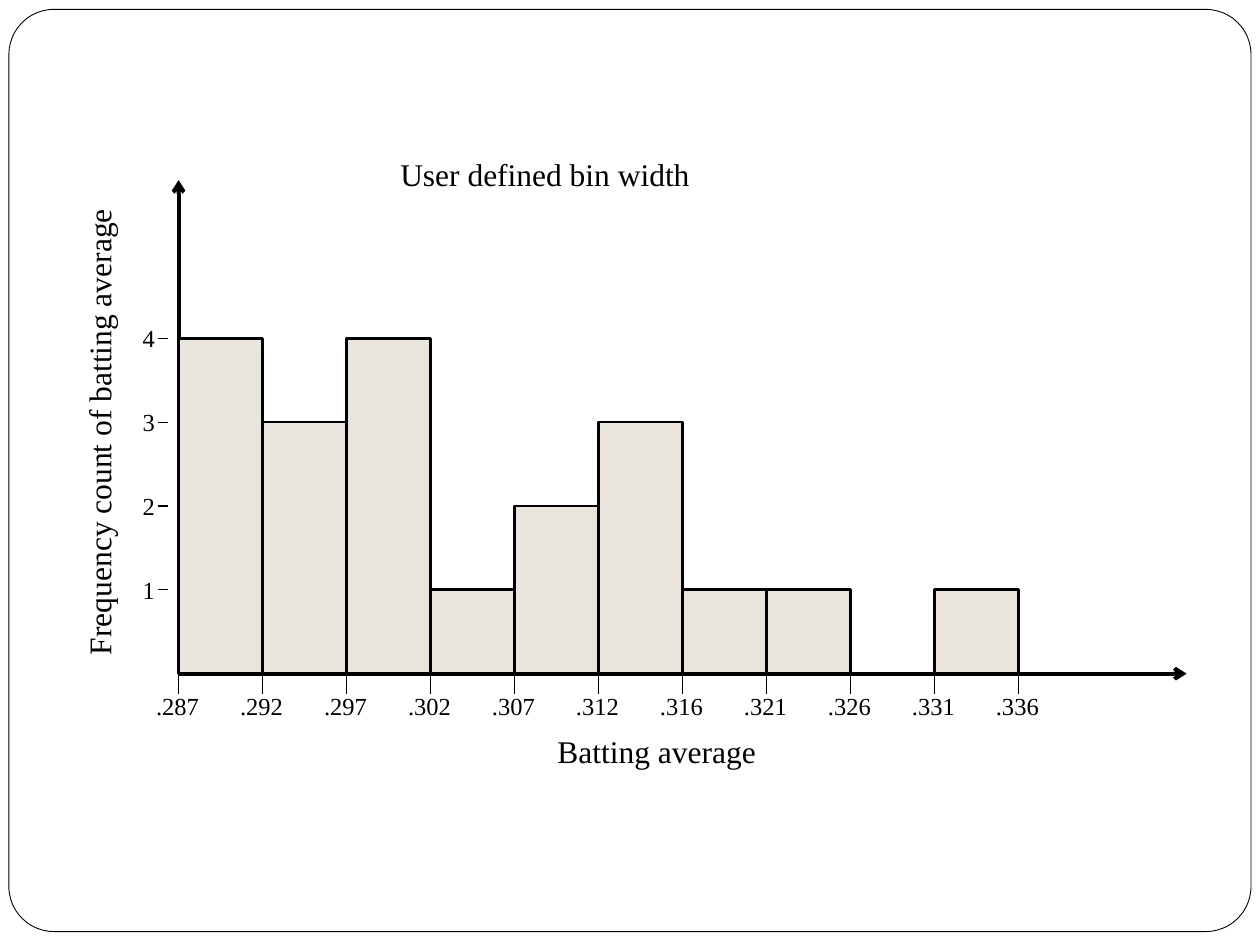
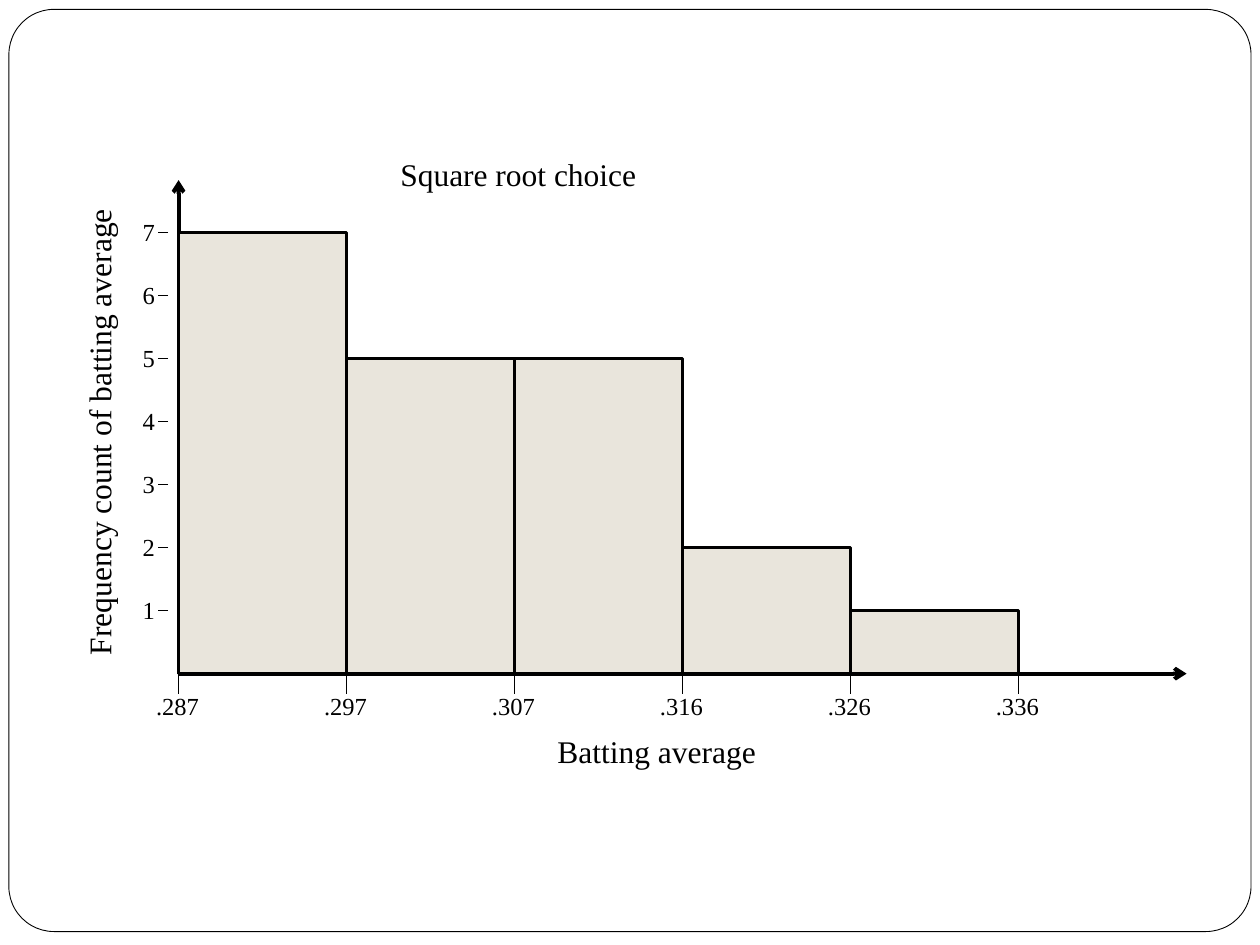
"""Two histograms of batting averages with different bin widths."""
from lxml.etree import SubElement
from pptx import Presentation
from pptx.dml.color import RGBColor
from pptx.enum.shapes import MSO_CONNECTOR, MSO_SHAPE
from pptx.enum.text import PP_ALIGN
from pptx.oxml.ns import qn
from pptx.util import Cm, Pt

FONT = "Times New Roman"
BLACK, WHITE, BAR_FILL = "000000", "FFFFFF", "E9E5DC"
ORIGIN_X, ORIGIN_Y = 3.6, 13.58
PLOT_WIDTH = 16.93
X_AXIS_END, Y_AXIS_END = 23.92, 3.63
LABEL_HEIGHT, TITLE_HEIGHT = 0.85, 1.02


def colour(target, value):
    """Set a fill, or a font's or line's colour, from a hex string."""
    if hasattr(target, "solid"):
        target.solid()
        target.fore_color.rgb = RGBColor.from_string(value)
    else:
        target.color.rgb = RGBColor.from_string(value)


def add_block(page, kind, left, top, width, height, fill, weight):
    """Add a filled shape with a black outline."""
    block = page.shapes.add_shape(kind, Cm(left), Cm(top), Cm(width), Cm(height))
    block.shadow.inherit = False
    colour(block.fill, fill)
    colour(block.line, BLACK)
    block.line.width = Pt(weight)
    return block


def add_line(page, start, end, weight=0.75, arrow=False):
    """Add a straight black line, with an arrowhead at its end if asked."""
    line = page.shapes.add_connector(
        MSO_CONNECTOR.STRAIGHT, *(Cm(value) for value in (*start, *end)))
    colour(line.line, BLACK)
    line.line.width = Pt(weight)
    if arrow:
        SubElement(line.line._get_or_add_ln(), qn("a:tailEnd"), type="arrow")
    SubElement(line._element.spPr, qn("a:effectLst"))


def add_label(page, text, left, top, width, height=LABEL_HEIGHT, size=14,
              align=PP_ALIGN.CENTER, wrap=False):
    """Add one line of text and return its box."""
    box = page.shapes.add_textbox(Cm(left), Cm(top), Cm(width), Cm(height))
    box.text_frame.word_wrap = wrap
    para = box.text_frame.paragraphs[0]
    para.text = text
    para.alignment = align
    para.font.name = FONT
    para.font.size = Pt(size)
    colour(para.font, BLACK)
    return box


def add_frame(page):
    """Draw the rounded border that every slide has."""
    frame = add_block(page, MSO_SHAPE.ROUNDED_RECTANGLE,
                      0.18, 0.19, 25.04, 18.59, WHITE, 0.5)
    frame.adjustments[0] = 0.049


def add_titles(page, title, title_width):
    """Add the chart title and the titles of both axes."""
    add_label(page, title, 7.82, 3, title_width, TITLE_HEIGHT, 18,
              PP_ALIGN.LEFT, wrap=True)
    add_label(page, "Batting average", 3.18, 14.63, 20.12, TITLE_HEIGHT, 18,
              wrap=True)
    side_title = add_label(page, "Frequency count of batting average",
                           -2.87, 8.2, 9.73, TITLE_HEIGHT, 18)
    side_title.rotation = 270


def add_histogram(page, counts, edges, unit):
    """Draw bars, axes, ticks and labels; unit is the height of one count."""
    bin_width = PLOT_WIDTH / len(counts)
    origin = (ORIGIN_X, ORIGIN_Y)
    add_line(page, origin, (ORIGIN_X, Y_AXIS_END), 2.25, arrow=True)
    for index, count in enumerate(counts):
        if count:
            add_block(page, MSO_SHAPE.RECTANGLE, ORIGIN_X + index * bin_width,
                      ORIGIN_Y - count * unit, bin_width, count * unit,
                      BAR_FILL, 1.5)
    add_line(page, origin, (X_AXIS_END, ORIGIN_Y), 2.25, arrow=True)
    for index, edge in enumerate(edges):
        x = ORIGIN_X + index * bin_width
        add_line(page, (x, ORIGIN_Y), (x, ORIGIN_Y + 0.42))
        add_label(page, edge, x - 0.72, 13.8, 1.4)
    for count in range(1, max(counts) + 1):
        y = ORIGIN_Y - count * unit
        add_line(page, (3.39, y), (3.18, y))
        add_label(page, str(count), 2.62, y - 0.43, 0.76)


def add_page(deck, title, title_width, counts, edges, unit):
    """Add a slide with one framed histogram."""
    page = deck.slides.add_slide(deck.slide_layouts[6])
    add_frame(page)
    add_histogram(page, counts, edges, unit)
    add_titles(page, title, title_width)


def main():
    """Build and save the deck."""
    deck = Presentation()
    deck.slide_width, deck.slide_height = Cm(25.4), Cm(19.05)
    edges = [".287", ".292", ".297", ".302", ".307", ".312",
             ".316", ".321", ".326", ".331", ".336"]
    add_page(deck, "User defined bin width", 6.48,
             [4, 3, 4, 1, 2, 3, 1, 1, 0, 1], edges, 1.69)
    add_page(deck, "Square root choice", 5.41, [7, 5, 5, 2, 1], edges[::2], 1.27)
    deck.save("out.pptx")


if __name__ == "__main__":
    main()
